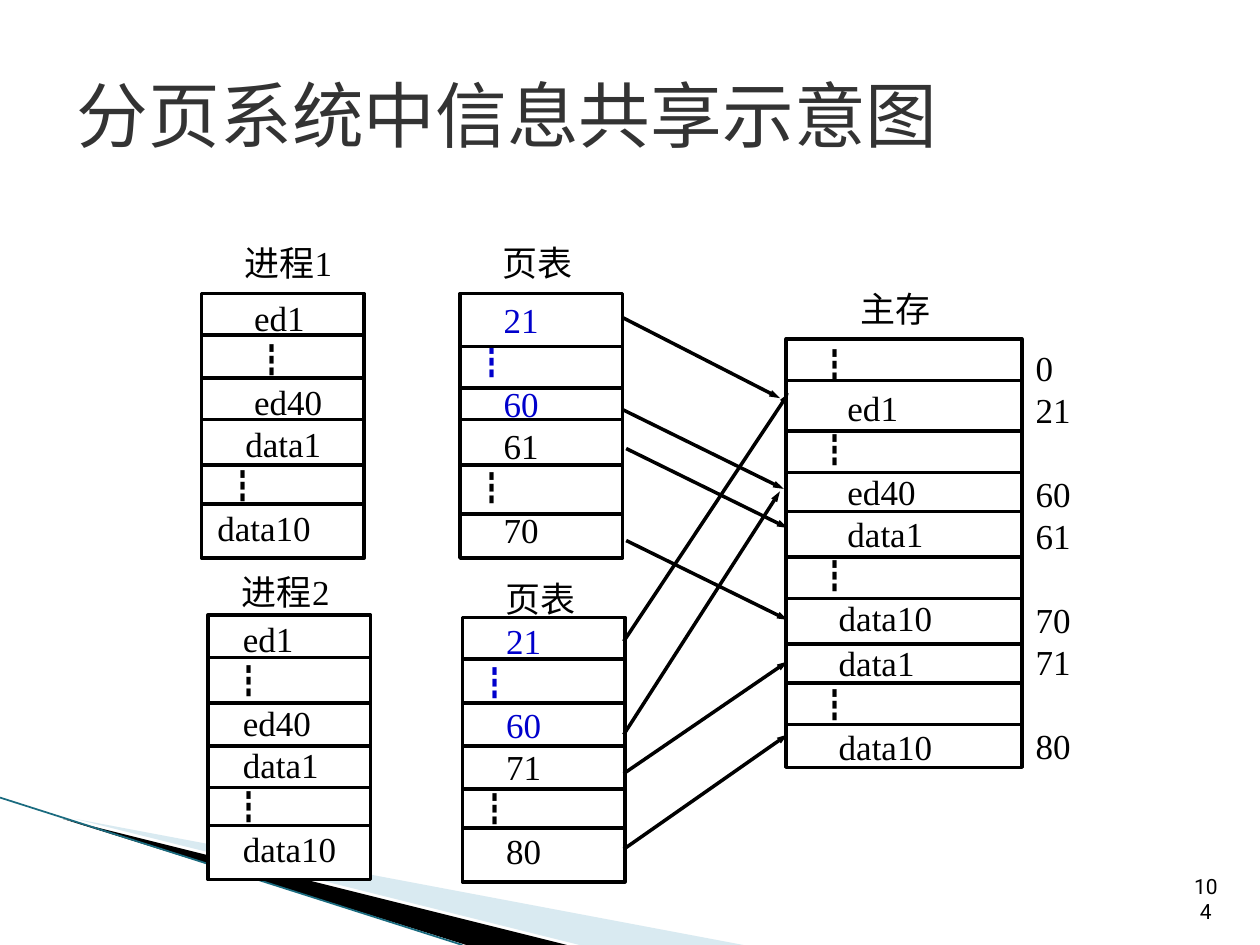
from dataclasses import dataclass

from lxml.etree import SubElement
from pptx import Presentation
from pptx.dml.color import RGBColor
from pptx.enum.shapes import MSO_CONNECTOR, MSO_SHAPE
from pptx.enum.text import MSO_ANCHOR, MSO_AUTO_SIZE, PP_ALIGN
from pptx.oxml.ns import qn
from pptx.util import Inches, Pt

COLUMNS, ROWS = 100, 75
CELL = Inches(0.1)
SERIF, CJK, SANS = "Times New Roman", "Noto Sans CJK SC", "Roboto"
BLACK, BLUE, WHITE = "000000", "0000CC", "FFFFFF"
DOTS = "┇"
PITCH = 24


@dataclass(frozen=True)
class Row:
    text: str
    indent: float = 0
    color: str = BLACK
    before: float = 0


@dataclass(frozen=True)
class Block:
    heading: str
    heading_at: tuple[float, float]
    left: float
    top: float
    width: float
    height: float
    inset: float
    rows: list[Row]
    dividers: list[float]


def cells(count: float) -> int:
    return round(count * CELL)


def rgb(color: str) -> RGBColor:
    return RGBColor.from_string(color)


def add_run(paragraph, text: str, size: float, font: str, color: str) -> None:
    run = paragraph.add_run()
    run.text = text
    run.font.size = Pt(size)
    run.font.color.rgb = rgb(color)
    run.font.name = font
    SubElement(run.font._element, qn("a:ea")).set("typeface", CJK)


def write_rows(frame, rows: list[Row], inset: float = 0) -> None:
    frame.word_wrap = True
    frame.vertical_anchor = MSO_ANCHOR.TOP
    frame.margin_left = frame.margin_right = frame.margin_bottom = 0
    frame.margin_top = cells(inset)
    for index, row in enumerate(rows):
        paragraph = frame.add_paragraph() if index else frame.paragraphs[0]
        properties = paragraph._p.get_or_add_pPr()
        properties.set("marL", str(Pt(row.indent)))
        properties.set("indent", "0")
        paragraph.alignment = PP_ALIGN.LEFT
        paragraph.line_spacing = Pt(PITCH)
        paragraph.space_before = Pt(row.before)
        add_run(paragraph, row.text, 20, CJK if row.text == DOTS else SERIF, row.color)


def add_text(slide, left: float, top: float, width: float, height: float, rows: list[Row]) -> None:
    box = slide.shapes.add_textbox(cells(left), cells(top), cells(width), cells(height))
    write_rows(box.text_frame, rows)


def add_line(slide, start: tuple[float, float], end: tuple[float, float],
             color: str = BLACK, weight: float = 2, arrow: bool = False) -> None:
    line = slide.shapes.add_connector(
        MSO_CONNECTOR.STRAIGHT, *map(cells, start), *map(cells, end))
    line.line.color.rgb = rgb(color)
    line.line.width = Pt(weight)
    if arrow:
        head = SubElement(line.line._get_or_add_ln(), qn("a:tailEnd"))
        for key, value in (("type", "triangle"), ("w", "sm"), ("len", "med")):
            head.set(key, value)
    SubElement(line._element.spPr, qn("a:effectLst"))


def add_block(slide, block: Block) -> None:
    rectangle = slide.shapes.add_shape(
        MSO_SHAPE.RECTANGLE, cells(block.left), cells(block.top),
        cells(block.width), cells(block.height))
    rectangle.shadow.inherit = False
    rectangle.fill.solid()
    rectangle.fill.fore_color.rgb = rgb(WHITE)
    rectangle.line.color.rgb = rgb(BLACK)
    rectangle.line.width = Pt(2)
    write_rows(rectangle.text_frame, block.rows, block.inset)
    for height in block.dividers:
        add_line(slide, (block.left, height), (block.left + block.width, height))
    add_text(slide, *block.heading_at, 9.1, 3.9, [Row(block.heading)])


def add_wedge(slide, points: list[tuple[float, float]], color: str, opacity: int = 100) -> None:
    builder = slide.shapes.build_freeform(*points[0], scale=CELL)
    builder.add_line_segments(points[1:], close=True)
    wedge = builder.convert_to_shape()
    wedge.shadow.inherit = False
    wedge.line.fill.background()
    wedge.fill.solid()
    wedge.fill.fore_color.rgb = rgb(color)
    if opacity < 100:
        tint = wedge._element.spPr.find(qn("a:solidFill"))[0]
        SubElement(tint, qn("a:alpha")).set("val", str(opacity * 1000))


def page_table(frames: list[str]) -> list[Row]:
    first, second, third, last = frames
    dots = (DOTS, 8.5)
    return [Row(first, 25, BLUE), Row(*dots, BLUE), Row(second, 25, BLUE),
            Row(third, 25), Row(*dots), Row(last, 25)]


BLOCKS = [
    Block("进程1", (19.4, 19.2), 16, 23.3, 12.9, 21, 0.2,
          [Row("ed1", 30), Row(DOTS, 30), Row("ed40", 30),
           Row("data1", 25), Row(DOTS, 13.5), Row("data10", 9)],
          [26.6, 30, 33.3, 36.9, 40]),
    Block("进程2", (19.2, 45.3), 16.5, 48.8, 12.9, 21, 0.2,
          [Row("ed1", 20), Row(DOTS, 13.5), Row("ed40", 20),
           Row("data1", 20), Row(DOTS, 13.5), Row("data10", 20)],
          [52.2, 55.8, 59.2, 62.5, 65.5]),
    Block("页表", (39.9, 19.2), 36.5, 23.3, 12.9, 21, 0.4,
          page_table(["21", "60", "61", "70"]), [27.5, 30.8, 33.3, 36.9, 40.8]),
    Block("页表", (40.1, 45.8), 36.7, 49, 12.9, 21, 0.2,
          page_table(["21", "60", "71", "80"]), [52.3, 55.8, 59.2, 62.6, 65.7]),
    Block("主存", (68.3, 22.8), 62.4, 26.9, 18.7, 34, 0.4,
          [Row(DOTS, 18), Row("ed1", 35), Row(DOTS, 18), Row("ed40", 35),
           Row("data1", 35), Row(DOTS, 18), Row("data10", 30),
           Row("data1", 30, before=2), Row(DOTS, 18), Row("data10", 30)],
          [30.2, 34.2, 37.5, 40.6, 44.2, 47.5, 51.1, 54.2, 57.5]),
]

MAPPINGS = [
    ((49.4, 25.2), (61.9, 31.6)), ((49.4, 32.5), (62.2, 38.8)),
    ((49.7, 35.6), (62.5, 41.9)), ((49.7, 42.9), (62.5, 49.2)),
    ((49.5, 50.9), (62.6, 31.2)), ((49.5, 58.3), (61.9, 39)),
    ((49.5, 61.4), (62.5, 52.5)), ((49.5, 67.4), (62.5, 58.3)),
]

FRAME_NUMBERS = [
    Row("0"), Row("21"), Row("60", before=PITCH), Row("61"),
    Row("70", before=PITCH), Row("71"), Row("80", before=PITCH),
]


def main() -> None:
    deck = Presentation()
    deck.slide_width, deck.slide_height = cells(COLUMNS), cells(ROWS)
    slide = deck.slides.add_slide(deck.slide_layouts[5])

    add_wedge(slide, [(5.5, 65), (59, 75), (45.6, 75)], "A0CBDC", 40)
    add_wedge(slide, [(5.3, 64.9), (45.2, 75), (36.9, 75)], BLACK)
    add_line(slide, (0, 63.3), (36.7, 75), "1A6B7F", 1)

    title = slide.shapes.title
    title.left, title.top, title.width, title.height = map(cells, (5.1, 2.8, 90, 12.5))
    heading = title.text_frame
    heading.auto_size = MSO_AUTO_SIZE.NONE
    heading.vertical_anchor = MSO_ANCHOR.MIDDLE
    heading.paragraphs[0].alignment = PP_ALIGN.LEFT
    add_run(heading.paragraphs[0], "分页系统中信息共享示意图", 41, CJK, "333333")

    for block in BLOCKS:
        add_block(slide, block)
    add_text(slide, 82.2, 27.5, 5.3, 33.4, FRAME_NUMBERS)
    for start, end in MAPPINGS:
        add_line(slide, start, end, arrow=True)

    page = slide.shapes.add_textbox(*map(cells, (93.7, 69.8, 4, 3))).text_frame
    page.word_wrap = True
    page.vertical_anchor = MSO_ANCHOR.MIDDLE
    page.paragraphs[0].alignment = PP_ALIGN.CENTER
    add_run(page.paragraphs[0], "104", 12, SANS, BLACK)

    deck.save("out.pptx")


if __name__ == "__main__":
    main()
